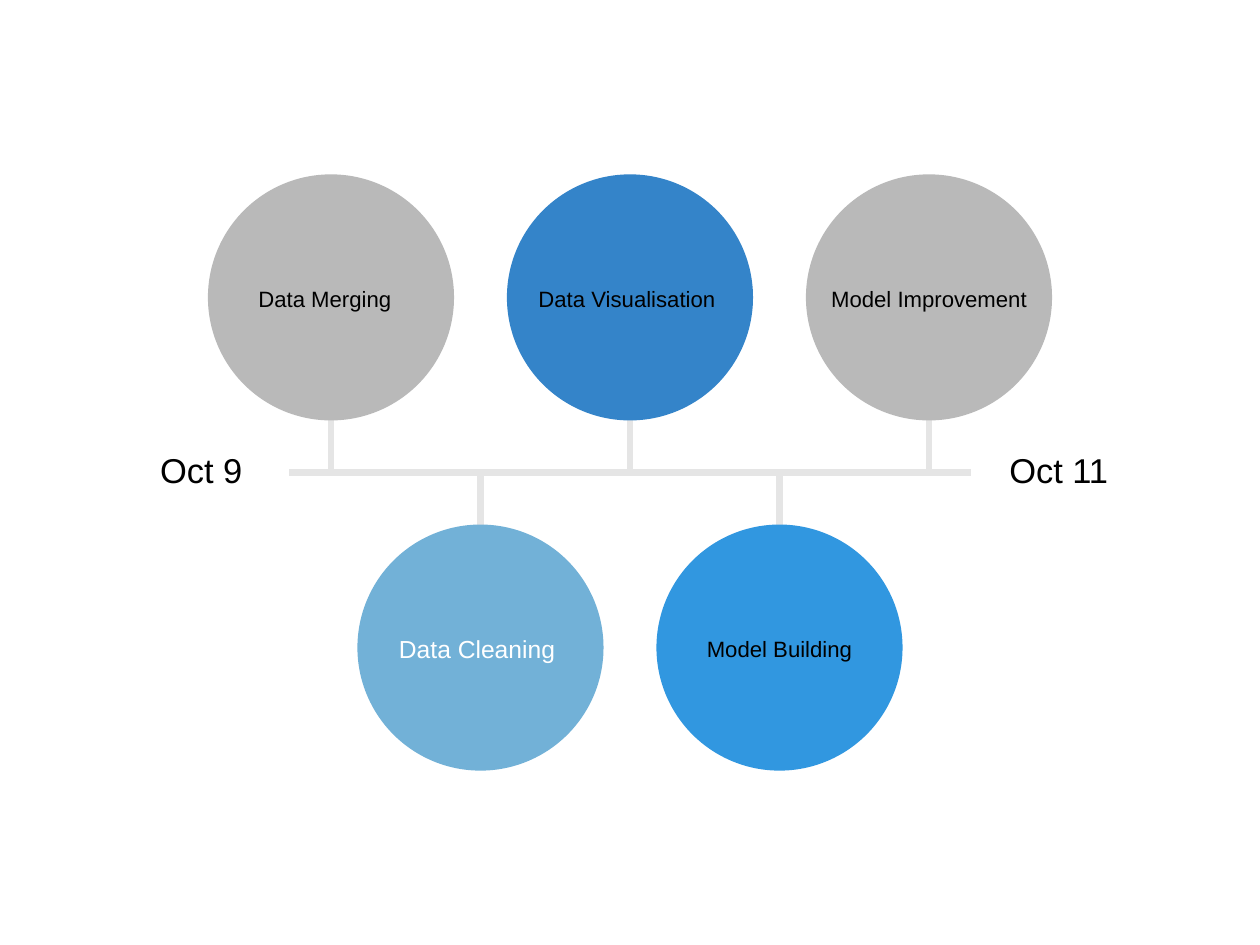
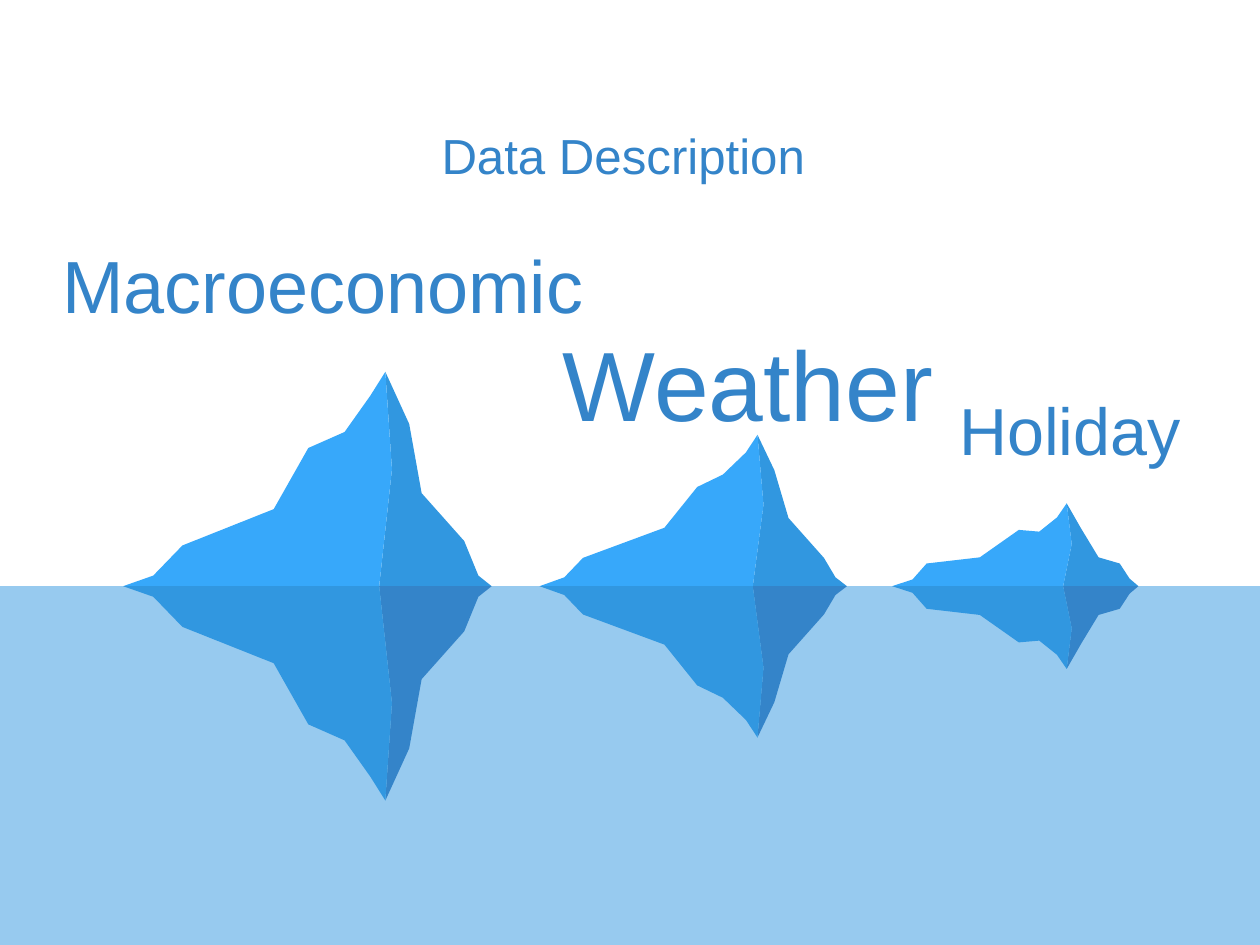
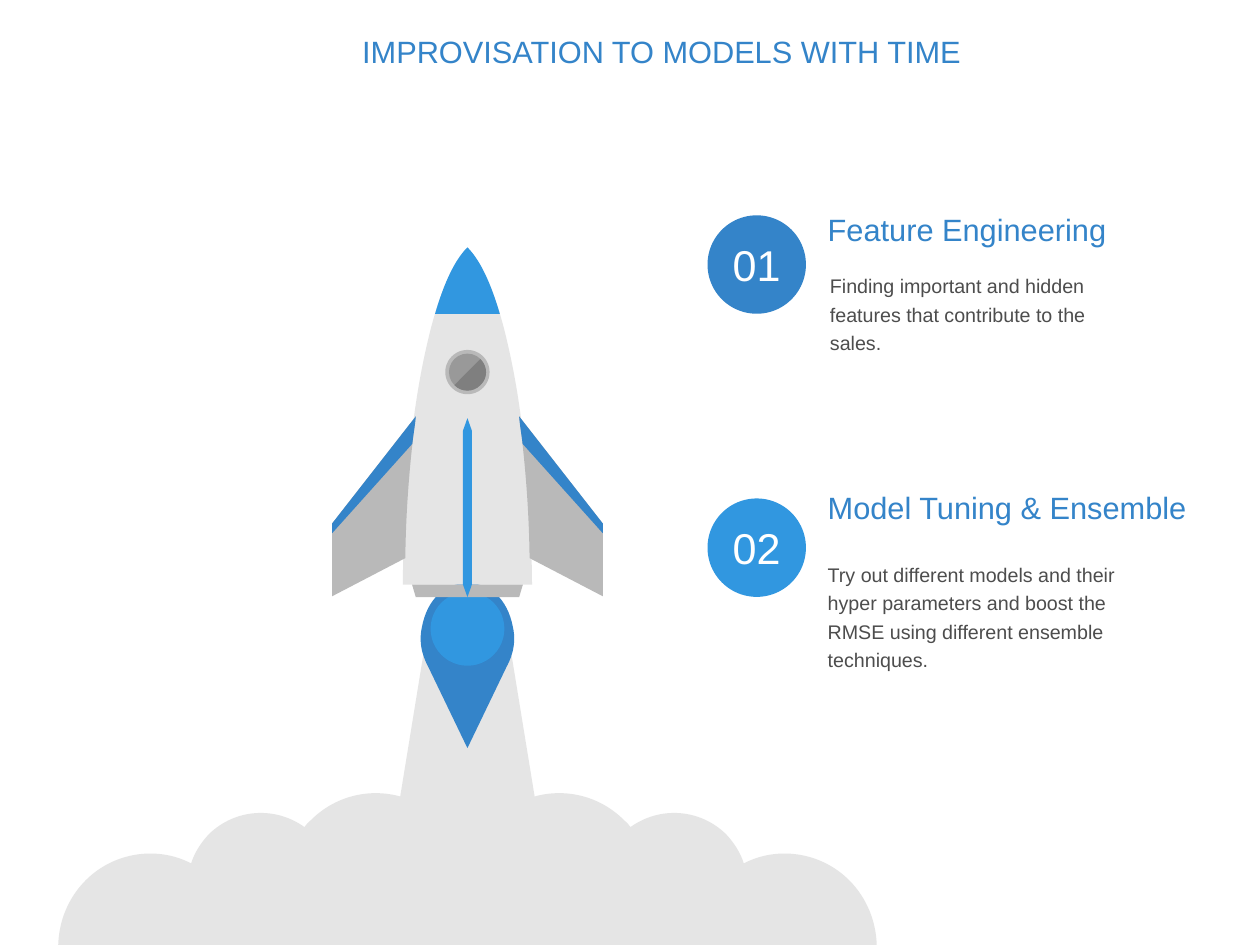
"""Build a three-slide deck: project timeline, data icebergs and model rocket."""
from dataclasses import dataclass
from itertools import chain, pairwise
from typing import NamedTuple

from lxml import etree
from pptx import Presentation
from pptx import slide as sl
from pptx import util as u
from pptx.dml import color
from pptx.enum import shapes, text
from pptx.oxml import ns
from pptx.shapes import autoshape

Point = tuple[float, float]
Outline = list[tuple[Point, ...]]


@dataclass(frozen=True)
class Theme:
    font: str = "Arial"
    navy: str = "3484C9"
    blue: str = "3197E0"
    sky: str = "37A8FA"
    mist: str = "72B1D7"
    silver: str = "B9B9B9"
    pale: str = "E5E5E5"
    glass: str = "999999"
    glare: str = "7F7F7F"
    body: str = "4D4D4D"
    black: str = "000000"
    white: str = "FFFFFF"
    body_size: int = 16
    label_size: int = 18
    accent_size: int = 20
    heading_size: int = 25
    date_size: int = 28
    number_size: int = 35
    title_size: int = 40
    holiday_size: int = 54
    macro_size: int = 60
    weather_size: int = 80


THEME = Theme()
WIDTH, HEIGHT = 1024, 768


class Box(NamedTuple):
    left: float
    top: float
    width: float
    height: float


@dataclass(frozen=True)
class Style:
    size: int
    color: str
    align: text.PP_ALIGN = text.PP_ALIGN.CENTER
    anchor: text.MSO_ANCHOR = text.MSO_ANCHOR.MIDDLE
    spacing: float = 1.0
    wrap: bool = True


class Milestone(NamedTuple):
    label: str
    fill: str
    right_inset: float = 0
    size: int = THEME.label_size
    ink: str = THEME.black


class Iceberg(NamedTuple):
    label: str
    label_box: Box
    label_size: int
    peak: Point
    ridge: list[Point]
    left_slope: list[Point]
    right_slope: list[Point]


class Step(NamedTuple):
    number: str
    fill: str
    center_y: float
    heading: str
    heading_box: Box
    detail: str
    detail_box: Box


def paint(shape: autoshape.Shape, fill: str) -> autoshape.Shape:
    shape.shadow.inherit = False
    shape.fill.solid()
    shape.fill.fore_color.rgb = color.RGBColor.from_string(fill)
    shape.line.fill.background()
    return shape


def write(shape: autoshape.Shape, words: str, style: Style, right_inset: float = 0) -> None:
    frame = shape.text_frame
    frame.word_wrap = style.wrap
    frame.vertical_anchor = style.anchor
    frame.margin_left = frame.margin_top = frame.margin_bottom = u.Pt(0)
    frame.margin_right = u.Pt(right_inset)
    paragraph = frame.paragraphs[0]
    paragraph.text = words
    paragraph.alignment = style.align
    paragraph.line_spacing = style.spacing
    paragraph.font.name = THEME.font
    paragraph.font.size = u.Pt(style.size)
    paragraph.font.color.rgb = color.RGBColor.from_string(style.color)


def add_text(slide: sl.Slide, box: Box, words: str, style: Style) -> None:
    write(slide.shapes.add_textbox(*map(u.Pt, box)), words, style)


def add_disc(slide: sl.Slide, center: Point, radius: float, fill: str) -> autoshape.Shape:
    x, y = center
    box = Box(x - radius, y - radius, 2 * radius, 2 * radius)
    return paint(slide.shapes.add_shape(shapes.MSO_SHAPE.OVAL, *map(u.Pt, box)), fill)


def add_rule(slide: sl.Slide, start: Point, end: Point) -> None:
    rule = slide.shapes.add_connector(
        shapes.MSO_CONNECTOR.STRAIGHT, *map(u.Pt, (*start, *end)))
    rule.line.color.rgb = color.RGBColor.from_string(THEME.pale)
    rule.line.width = u.Pt(5)
    etree.SubElement(rule._element.spPr, ns.qn("a:effectLst"))


def add_outline(slide: sl.Slide, outline: Outline, fill: str) -> None:
    corners = [(u.Pt(x), u.Pt(y)) for x, y in chain.from_iterable(outline)]
    builder = slide.shapes.build_freeform(*corners[0])
    builder.add_line_segments(corners[1:], close=True)
    figure = paint(builder.convert_to_shape(), fill)
    lines = iter(figure._element.findall(f".//{ns.qn('a:lnTo')}"))
    for segment in outline[1:]:
        group = [next(lines) for _ in segment]
        if len(group) == 3:
            curve = etree.Element(ns.qn("a:cubicBezTo"))
            group[0].addprevious(curve)
            for line in group:
                curve.append(line[0])
                line.getparent().remove(line)


MILESTONES = [
    Milestone("Data Merging", THEME.silver, 10),
    Milestone("Data Cleaning", THEME.mist, 5.5, THEME.accent_size, THEME.white),
    Milestone("Data Visualisation", THEME.navy, 5),
    Milestone("Model Building", THEME.blue),
    Milestone("Model Improvement", THEME.silver),
]


def build_timeline(slide: sl.Slide) -> None:
    axis_y, pitch, stem, reach, radius = 384, 121.5, 74, 142.3, 100
    first_x = WIDTH / 2 - pitch * (len(MILESTONES) - 1) / 2
    add_rule(slide, (789, axis_y), (235, axis_y))
    for index, milestone in enumerate(MILESTONES):
        x = first_x + index * pitch
        side = 1 if index % 2 else -1
        add_rule(slide, (x, axis_y), (x, axis_y + side * stem))
        disc = add_disc(slide, (x, axis_y + side * reach), radius, milestone.fill)
        write(disc, milestone.label,
              Style(milestone.size, milestone.ink, spacing=1.1, wrap=False),
              milestone.right_inset)
    for left, date in ((98.5, "Oct 9"), (795.5, "Oct 11")):
        add_text(slide, Box(left, 351.5, 130, 65), date,
                 Style(THEME.date_size, THEME.black, spacing=0.9))


ICEBERGS = [
    Iceberg("Macroeconomic", Box(0, 197.5, 524.5, 80.5), THEME.macro_size,
            (313.2, 174.2), [(308.2, 0), (318.6, 95)],
            [(301, 154.8), (280.1, 125.3), (250.6, 112.3), (222.5, 62.6),
             (148.3, 33.1), (124.6, 8.6), (100.1, 0)],
            [(399.6, 0), (388.8, 8.6), (377.3, 36.7), (342.7, 75.6), (332.6, 131.8)]),
    Iceberg("Weather", Box(454.5, 279.5, 307, 80.5), THEME.weather_size,
            (615.6, 123), [(611.8, 0), (620.5, 66.2)],
            [(606.2, 108.7), (587.5, 90.7), (566.6, 80.6), (540, 47.5),
             (473.8, 23), (458.6, 7.2), (438.5, 0)],
            [(688.3, 0), (679, 7.2), (669.6, 23), (640.8, 55.4), (629.3, 94.3)]),
    Iceberg("Holiday", Box(769.5, 314.5, 200, 80.5), THEME.holiday_size,
            (866.9, 67.3), [(864, 0), (871, 34.2)],
            [(859, 55.8), (844.6, 44.3), (828, 45.7), (796.3, 23.4),
             (753.1, 18.4), (741.6, 5.4), (725, 0)],
            [(925.2, 0), (918, 6.1), (910, 18.4), (892.8, 23.4), (878.4, 47.2)]),
]


def build_icebergs(slide: sl.Slide) -> None:
    waterline = 476.4
    sea = Box(0, waterline, WIDTH, HEIGHT - waterline)
    water = paint(slide.shapes.add_shape(
        shapes.MSO_SHAPE.RECTANGLE, *map(u.Pt, sea)), THEME.blue)
    tint = water._element.spPr.find(f".//{ns.qn('a:srgbClr')}")
    etree.SubElement(tint, ns.qn("a:alpha"), val="50000")
    for berg in ICEBERGS:
        base, bend = berg.ridge
        for rise, lit, shaded in ((-1, THEME.sky, THEME.blue), (1, THEME.blue, THEME.navy)):
            for slope, fill in (([bend, base, *berg.right_slope], shaded),
                                ([*berg.left_slope, base, bend], lit)):
                face = [((x, waterline + rise * y),) for x, y in [berg.peak, *slope]]
                add_outline(slide, face, fill)
    for berg in ICEBERGS:
        add_text(slide, berg.label_box, berg.label,
                 Style(berg.label_size, THEME.navy, spacing=0.8))
    add_text(slide, Box(94.5, 100, 824, 50.5), "Data Description",
             Style(THEME.title_size, THEME.navy, anchor=text.MSO_ANCHOR.BOTTOM, spacing=0.9))


AXIS_X = 379.9
EXHAUST: Outline = [((0, 524),), ((34.5, 524),), ((58, 668),), ((0, 670),)]
FLAME: Outline = [
    ((0, 473.8),), ((17.5, 473.8), (32.5, 486), (37, 509.8)),
    ((40.5, 525.6), (34, 537.8), (31.7, 542.2)), ((0, 608),)]
HULL: Outline = [
    ((0, 201.6),), ((12, 213.8), (23.8, 239.8), (32.7, 279.4)),
    ((45.4, 333.4), (52, 404), (52.5, 475.2)), ((0, 475.2),)]
FIN: Outline = [
    ((42, 338.4),), ((46.8, 374.4), (50, 413.3), (50.5, 453.6)),
    ((110, 484.6),), ((110, 425.5),)]
FIN_EDGE: Outline = [
    ((42, 338.4),), ((42.5, 345.6), (44, 353), (44.8, 360.7)),
    ((110, 433.4),), ((110, 425.5),)]
NOZZLE: Outline = [((0, 475.2),), ((45, 475.2),), ((42, 485.3),), ((0, 485.3),)]
NOSE: Outline = [((0, 201),), ((10, 211), (18.7, 229), (26.3, 255)), ((0, 255),)]
STRIPE: Outline = [((0, 339.8),), ((3.6, 350),), ((3.6, 475.2),), ((0, 485.3),)]
GLARE: Outline = [
    ((10.5, 291.8),), ((-10.6, 313),), ((-4.9, 319), (4.7, 319), (10.5, 313)),
    ((16.7, 307.4), (16.7, 298), (10.5, 291.8))]
CLOUD: Outline = [
    ((0, 643),), ((4.3, 643), (8.6, 643.7), (13, 645)),
    ((21.6, 646.6), (29.5, 650.2), (37.4, 654.5)),
    ((66.2, 638), (103, 642.2), (127.4, 666.7)),
    ((129.6, 668.2), (131, 670.3), (132.5, 672.2)),
    ((156.2, 655.2), (188.6, 657), (210.2, 678)),
    ((216.7, 685), (221.8, 693), (224.6, 701.7)),
    ((252, 687.4), (287.3, 692.4), (310.3, 715.5)),
    ((324.7, 730), (332, 748.8), (332.6, 768)), ((0, 768),)]

STEPS = [
    Step("01", THEME.navy, 215, "Feature Engineering", Box(672.7, 171.5, 250, 30),
         "Finding important and hidden features that contribute to the sales.",
         Box(674.5, 219, 250, 105)),
    Step("02", THEME.blue, 445.1, "Model Tuning & Ensemble", Box(672.7, 398, 305, 28),
         "Try out different models and their hyper parameters and boost the RMSE "
         "using different ensemble techniques.",
         Box(672.7, 453.7, 250, 105)),
]


def add_side(slide: sl.Slide, outline: Outline, fill: str, side: int = 1) -> None:
    placed = [tuple((AXIS_X + side * x, y) for x, y in segment) for segment in outline]
    add_outline(slide, placed, fill)


def add_symmetric(slide: sl.Slide, half: Outline, fill: str) -> None:
    way_back = [(*reversed(segment[:-1]), before[-1])
                for before, segment in reversed(list(pairwise(half)))]
    mirrored = [tuple((-x, y) for x, y in segment) for segment in way_back]
    add_side(slide, half + mirrored, fill)


def build_rocket(slide: sl.Slide) -> None:
    porthole = (AXIS_X, 302.4)
    add_symmetric(slide, EXHAUST, THEME.pale)
    add_symmetric(slide, FLAME, THEME.navy)
    add_disc(slide, (AXIS_X, 511), 30, THEME.blue)
    for half, fill in ((HULL, THEME.pale), (NOZZLE, THEME.silver), (NOSE, THEME.blue)):
        add_symmetric(slide, half, fill)
    for side in (1, -1):
        add_side(slide, FIN, THEME.silver, side)
        add_side(slide, FIN_EDGE, THEME.navy, side)
    add_symmetric(slide, STRIPE, THEME.blue)
    add_disc(slide, porthole, 18, THEME.silver)
    add_disc(slide, porthole, 15, THEME.glass)
    add_side(slide, GLARE, THEME.glare)
    add_symmetric(slide, CLOUD, THEME.pale)


def build_improvements(slide: sl.Slide) -> None:
    left = text.PP_ALIGN.LEFT
    add_text(slide, Box(95.5, 25.5, 884, 32.5), "IMPROVISATION TO MODELS WITH TIME",
             Style(THEME.heading_size, THEME.navy))
    build_rocket(slide)
    for step in STEPS:
        badge = add_disc(slide, (615, step.center_y), 40, step.fill)
        write(badge, step.number, Style(THEME.number_size, THEME.white))
        add_text(slide, step.heading_box, step.heading,
                 Style(THEME.heading_size, THEME.navy, left))
        add_text(slide, step.detail_box, step.detail,
                 Style(THEME.body_size, THEME.body, left, text.MSO_ANCHOR.TOP, 1.2))


def main() -> None:
    deck = Presentation()
    deck.slide_width, deck.slide_height = u.Pt(WIDTH), u.Pt(HEIGHT)
    blank = deck.slide_layouts[6]
    for build in (build_timeline, build_icebergs, build_improvements):
        build(deck.slides.add_slide(blank))
    deck.save("out.pptx")


if __name__ == "__main__":
    main()
